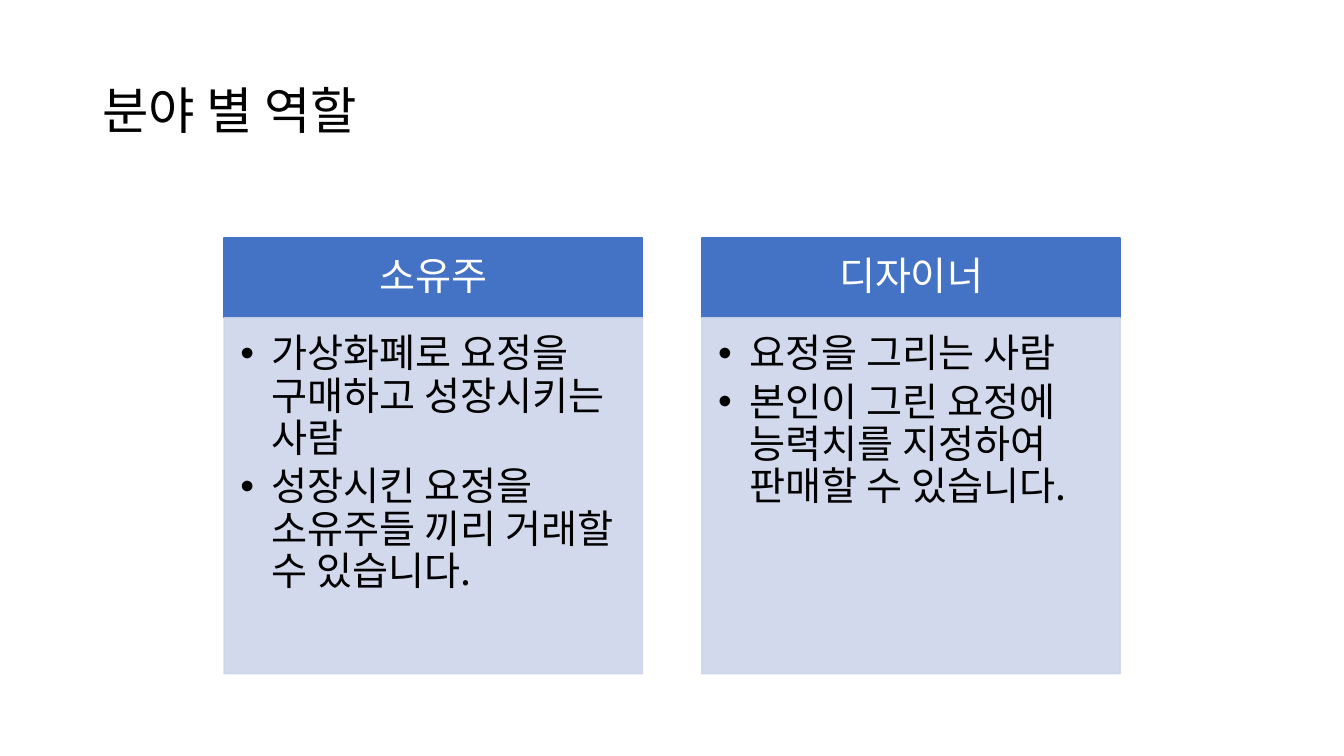
from lxml.etree import SubElement
from pptx import Presentation
from pptx.dml.color import RGBColor
from pptx.enum.shapes import MSO_SHAPE as Shape
from pptx.enum.text import MSO_ANCHOR as Anchor, PP_ALIGN as Align
from pptx.oxml.ns import qn
from pptx.util import Cm, Pt

FONT = "Noto Sans CJK KR"
BLACK = RGBColor(0x00, 0x00, 0x00)
WHITE = RGBColor(0xFF, 0xFF, 0xFF)
BLUE = RGBColor(0x44, 0x72, 0xC4)
PALE_BLUE = RGBColor(0xCF, 0xD5, 0xEA)

ROLES = [
    ("소유주", ["가상화폐로 요정을 구매하고 성장시키는 사람",
             "성장시킨 요정을 소유주들 끼리 거래할 수 있습니다."]),
    ("디자이너", ["요정을 그리는 사람",
              "본인이 그린 요정에 능력치를 지정하여 판매할 수 있습니다."]),
]


def write(frame, lines, size, color, align=Align.LEFT, after=0.0, bullets=False):
    """Fill a text frame with one styled paragraph per line."""
    frame.word_wrap = True
    for index, line in enumerate(lines):
        paragraph = frame.add_paragraph() if index else frame.paragraphs[0]
        paragraph.text = line
        paragraph.alignment = align
        if bullets:
            add_bullet(paragraph)
        paragraph.line_spacing = 0.9
        paragraph.space_after = Pt(size * after)
        font = paragraph.font
        font.size = Pt(size)
        font.color.rgb = color
        font.name = FONT
        defaults = paragraph._p.pPr.find(qn("a:defRPr"))
        SubElement(defaults, qn("a:ea"), typeface=FONT)


def add_bullet(paragraph):
    """Give a paragraph a round bullet with a hanging indent."""
    properties = paragraph._p.get_or_add_pPr()
    properties.set("marL", str(Cm(0.79)))
    properties.set("indent", str(-Cm(0.79)))
    SubElement(properties, qn("a:buFont"), typeface="Arial")
    SubElement(properties, qn("a:buChar"), char="•")


def add_panel(slide, box, color, insets, opacity=100):
    """Draw a flat rectangle and return its text frame."""
    panel = slide.shapes.add_shape(Shape.RECTANGLE, *box)
    panel.shadow.inherit = False
    panel.line.width = Pt(1)
    for fill in (panel.fill, panel.line.fill):
        fill.solid()
        fill.fore_color.rgb = color
    if opacity < 100:
        for tint in panel._element.spPr.iter(qn("a:srgbClr")):
            SubElement(tint, qn("a:alpha"), val=str(opacity * 1000))
    frame = panel.text_frame
    (frame.margin_left, frame.margin_top,
     frame.margin_right, frame.margin_bottom) = map(Cm, insets)
    return frame


def add_title(slide, left, top, width, height, text):
    """Place the slide title, centred vertically in its box."""
    frame = slide.shapes.add_textbox(left, top, width, height).text_frame
    frame.vertical_anchor = Anchor.MIDDLE
    write(frame, [text], 36, BLACK)


def add_role(slide, left, top, width, height, role, duties):
    """Place a role heading above the panel listing its duties."""
    heading_height = Cm(2.01)
    heading = add_panel(slide, (left, top, width, heading_height), BLUE,
                        (0.56, 0.3, 0.56, 0.3))
    heading.vertical_anchor = Anchor.MIDDLE
    write(heading, [role], 28, WHITE, Align.CENTER, after=0.35)

    body_box = (left, top + heading_height, width, height - heading_height)
    body = add_panel(slide, body_box, PALE_BLUE, (0.41, 0.41, 0.56, 0.61), opacity=90)
    body.vertical_anchor = Anchor.TOP
    write(body, duties, 28, BLACK, after=0.15, bullets=True)


def main():
    """Build the slide of roles and save it."""
    deck = Presentation()
    deck.slide_width, deck.slide_height = Cm(33.87), Cm(19.05)
    slide = deck.slides.add_slide(deck.slide_layouts[6])
    role_width, gap = Cm(10.54), Cm(1.5)
    for index, (role, duties) in enumerate(ROLES):
        left = Cm(5.65) + index * (role_width + gap)
        add_role(slide, left, Cm(6), role_width, Cm(10.98), role, duties)
    add_title(slide, Cm(2.33), Cm(1.01), Cm(29.21), Cm(3.68), "분야 별 역할")
    deck.save("out.pptx")


if __name__ == "__main__":
    main()
